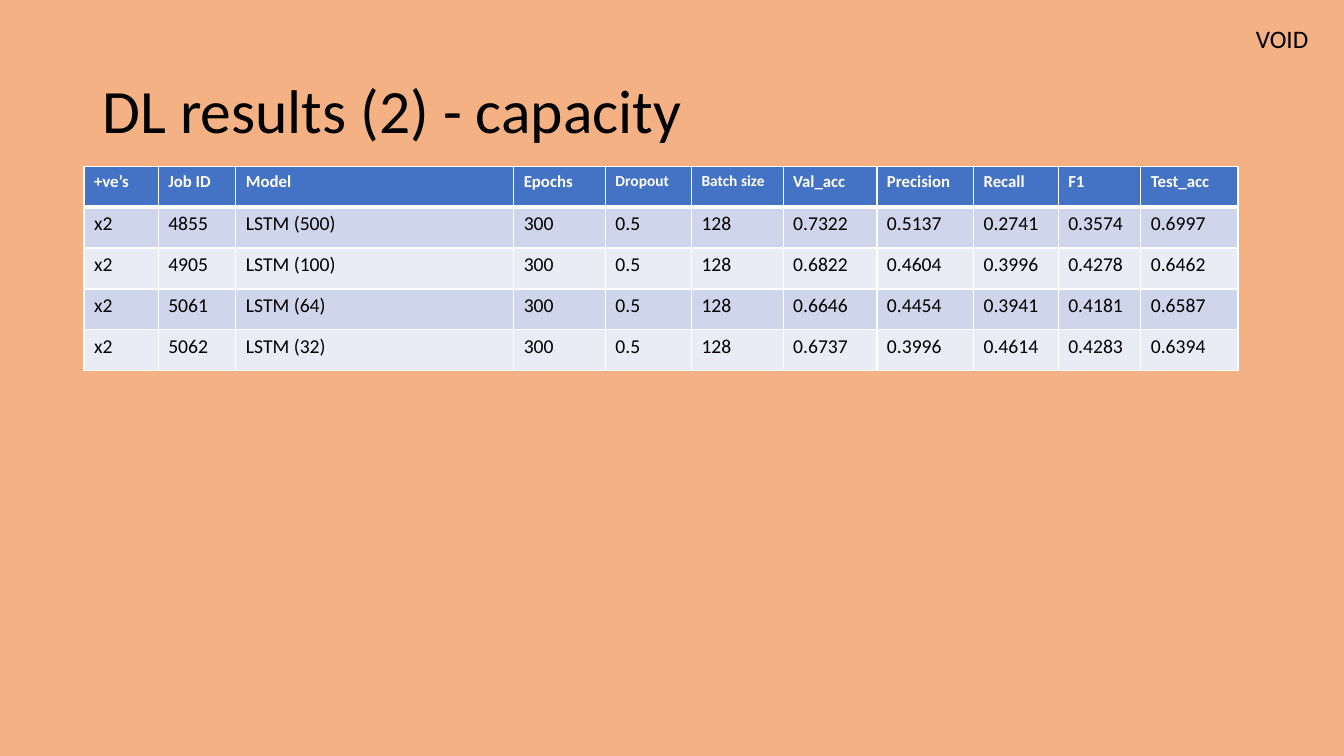
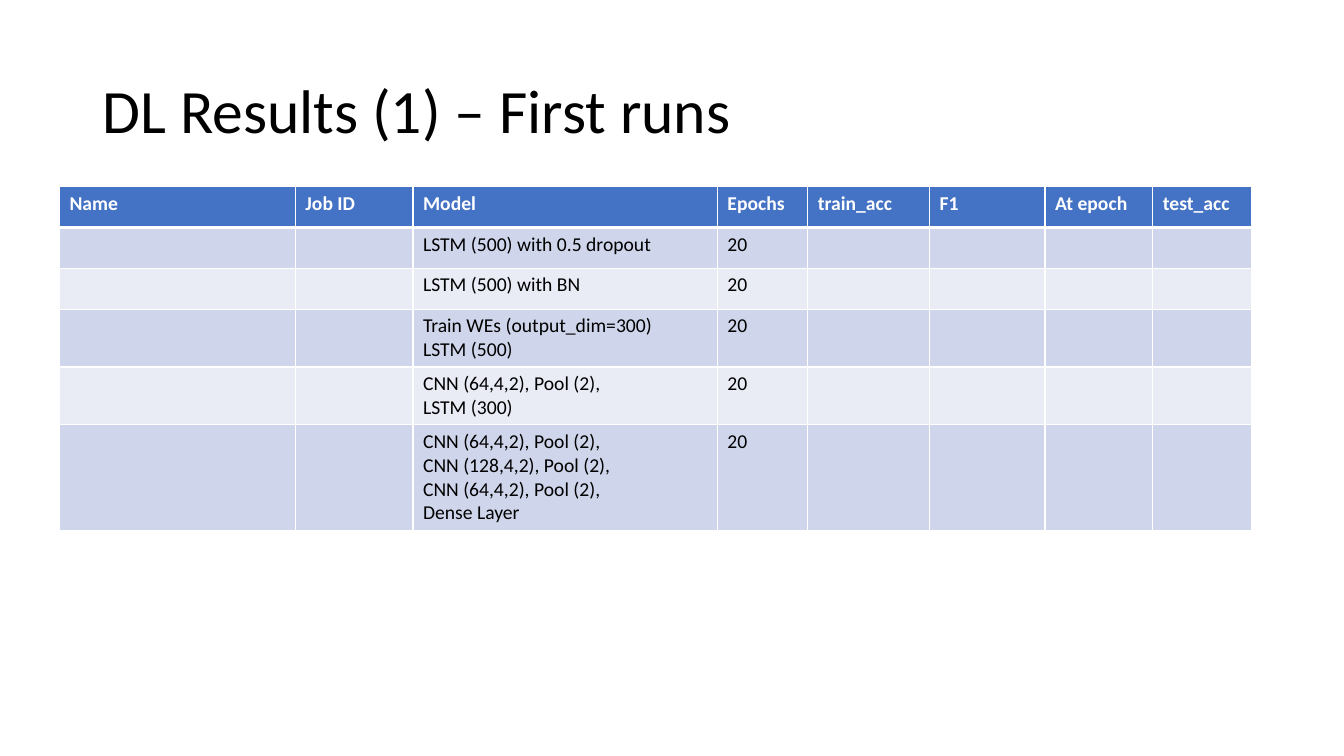
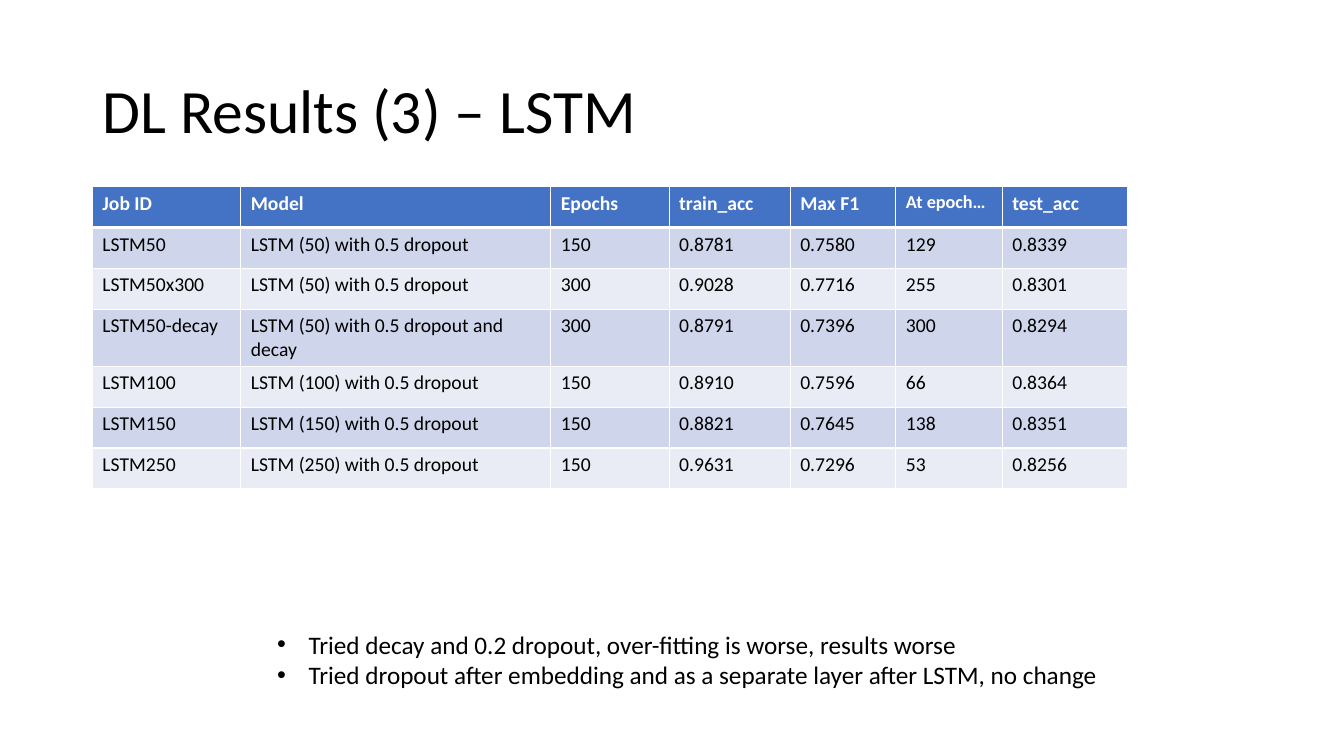
"""Build three slides of deep learning results with python-pptx."""
from dataclasses import dataclass

import pptx
import pptx.dml.color
import pptx.enum.text
import pptx.oxml
import pptx.oxml.ns
import pptx.util

Pt = pptx.util.Pt
RGB = pptx.dml.color.RGBColor.from_string
MSO_AUTO_SIZE = pptx.enum.text.MSO_AUTO_SIZE


@dataclass(frozen=True)
class Theme:
    font: str = "Calibri"
    text: str = "000000"
    white: str = "FFFFFF"
    void: str = "F4B183"
    header: str = "4472C4"
    bands: tuple = ("CFD5EA", "E9EBF5")
    title_size: int = 44
    note_size: int = 18
    cell_size: int = 14
    row_height: float = 29.2


theme = Theme()


def add_run(p, text, size, color=theme.text, bold=False):
    r = p.add_run()
    r.text = text
    r.font.name = theme.font
    r.font.size = Pt(size)
    r.font.bold = bold
    r.font.color.rgb = RGB(color)


def format_cell(cell, text, fill, size, color, bold, top, bottom):
    tc_pr = cell._tc.get_or_add_tcPr()
    for side, width in (("L", 1), ("R", 1), ("T", top), ("B", bottom)):
        tc_pr.append(pptx.oxml.parse_xml(
            f'<a:ln{side} {pptx.oxml.ns.nsdecls("a")} w="{Pt(width)}"><a:solidFill>'
            f'<a:srgbClr val="{theme.white}"/></a:solidFill></a:ln{side}>'))
    cell.fill.solid()
    cell.fill.fore_color.rgb = RGB(fill)
    tf = cell.text_frame
    for i, line in enumerate(text.split("\n") if text else []):
        p = tf.add_paragraph() if i else tf.paragraphs[0]
        add_run(p, line, size, color, bold)


first_models = (
    "LSTM (500) with 0.5 dropout",
    "LSTM (500) with BN",
    "Train WEs (output_dim=300)\nLSTM (500)",
    "CNN (64,4,2), Pool (2),\nLSTM (300)",
    "CNN (64,4,2), Pool (2),\nCNN (128,4,2), Pool (2),\nCNN (64,4,2), Pool (2),\nDense Layer",
)
capacity_runs = (
    ("4855", 500, "0.7322", "0.5137", "0.2741", "0.3574", "0.6997"),
    ("4905", 100, "0.6822", "0.4604", "0.3996", "0.4278", "0.6462"),
    ("5061", 64, "0.6646", "0.4454", "0.3941", "0.4181", "0.6587"),
    ("5062", 32, "0.6737", "0.3996", "0.4614", "0.4283", "0.6394"),
)
slides = (
    dict(
        title="DL results (2) - capacity", background=theme.void, void="VOID",
        left=60, top=118.8, header_size=12,
        small_headers={"Dropout": 11, "Batch size": 11},
        widths=(53, 55.5, 198.5, 65.5, 61.5, 65.5, 67, 69, 60.5, 59, 69.5),
        headers=("+ve’s", "Job ID", "Model", "Epochs", "Dropout", "Batch size",
                 "Val_acc", "Precision", "Recall", "F1", "Test_acc"),
        rows=[("x2", job, f"LSTM ({units})", "300", "0.5", "128", *scores)
              for job, units, *scores in capacity_runs],
        notes=(),
    ),
    dict(
        title="DL Results (1) – First runs", background=theme.white, void="",
        left=42.5, top=133.2, header_size=14, small_headers={},
        widths=(168.5, 84, 217.5, 64.5, 87, 82.5, 77, 70.5),
        headers=("Name", "Job ID", "Model", "Epochs", "train_acc", "F1", "At epoch", "test_acc"),
        rows=[("", "", model, "20", "", "", "", "") for model in first_models],
        notes=(),
    ),
    dict(
        title="DL Results (3) – LSTM", background=theme.white, void="",
        left=66, top=133.2, header_size=14, small_headers={"At epoch…": 13},
        widths=(106, 221.5, 84.5, 86.5, 75.5, 76, 89.5),
        headers=("Job ID", "Model", "Epochs", "train_acc", "Max F1", "At epoch…", "test_acc"),
        rows=(
            ("LSTM50", "LSTM (50) with 0.5 dropout", "150", "0.8781", "0.7580", "129", "0.8339"),
            ("LSTM50x300", "LSTM (50) with 0.5 dropout", "300", "0.9028", "0.7716", "255", "0.8301"),
            ("LSTM50-decay", "LSTM (50) with 0.5 dropout and decay", "300", "0.8791", "0.7396", "300",
             "0.8294"),
            ("LSTM100", "LSTM (100) with 0.5 dropout", "150", "0.8910", "0.7596", "66", "0.8364"),
            ("LSTM150", "LSTM (150) with 0.5 dropout", "150", "0.8821", "0.7645", "138", "0.8351"),
            ("LSTM250", "LSTM (250) with 0.5 dropout", "150", "0.9631", "0.7296", "53", "0.8256"),
        ),
        notes=("Tried decay and 0.2 dropout, over-fitting is worse, results worse",
               "Tried dropout after embedding and as a separate layer after LSTM, no change"),
    ),
)

prs = pptx.Presentation()
prs.slide_width, prs.slide_height = Pt(960), Pt(540)

for data in slides:
    s = prs.slides.add_slide(prs.slide_layouts[1 if data["notes"] else 5])
    s.background.fill.solid()
    s.background.fill.fore_color.rgb = RGB(data["background"])

    sp = s.shapes.title
    sp.left, sp.top, sp.width, sp.height = Pt(66), Pt(28.8), Pt(828), Pt(104.4)
    tf = sp.text_frame
    tf.auto_size = MSO_AUTO_SIZE.NONE
    tf.vertical_anchor = pptx.enum.text.MSO_ANCHOR.MIDDLE
    p = tf.paragraphs[0]
    p.alignment = pptx.enum.text.PP_ALIGN.LEFT
    p.line_spacing = 0.9
    add_run(p, data["title"], theme.title_size)

    grid = [data["headers"], *data["rows"]]
    table = s.shapes.add_table(
        len(grid), len(data["widths"]), Pt(data["left"]), Pt(data["top"]),
        Pt(sum(data["widths"])), Pt(theme.row_height * len(grid))).table
    for column, width in zip(table.columns, data["widths"]):
        column.width = Pt(width)
    for i, row in enumerate(grid):
        table.rows[i].height = Pt(theme.row_height)
        for j, text in enumerate(row):
            cell = table.cell(i, j)
            if i == 0:
                size = data["small_headers"].get(text, data["header_size"])
                format_cell(cell, text, theme.header, size, theme.white, True, 1, 3)
            else:
                fill = theme.bands[(i - 1) % 2]
                top = 3 if i == 1 else 1
                format_cell(cell, text, fill, theme.cell_size, theme.text, False, top, 1)

    if data["void"]:
        sp = s.shapes.add_textbox(Pt(890), Pt(13), Pt(52.5), Pt(29))
        tf = sp.text_frame
        tf.word_wrap = False
        tf.auto_size = MSO_AUTO_SIZE.SHAPE_TO_FIT_TEXT
        add_run(tf.paragraphs[0], data["void"], theme.note_size)

    if data["notes"]:
        sp = s.placeholders[1]
        sp.left, sp.top, sp.width, sp.height = Pt(190.8), Pt(445.7), Pt(608.4), Pt(51)
        tf = sp.text_frame
        tf.word_wrap = False
        tf.auto_size = MSO_AUTO_SIZE.SHAPE_TO_FIT_TEXT
        for i, note in enumerate(data["notes"]):
            p = tf.add_paragraph() if i else tf.paragraphs[0]
            p.space_before = Pt(0)
            p_pr = p._p.get_or_add_pPr()
            p_pr.set("marL", str(Pt(22.5)))
            p_pr.set("indent", str(-Pt(22.5)))
            add_run(p, note, theme.note_size)

prs.save("out.pptx")
